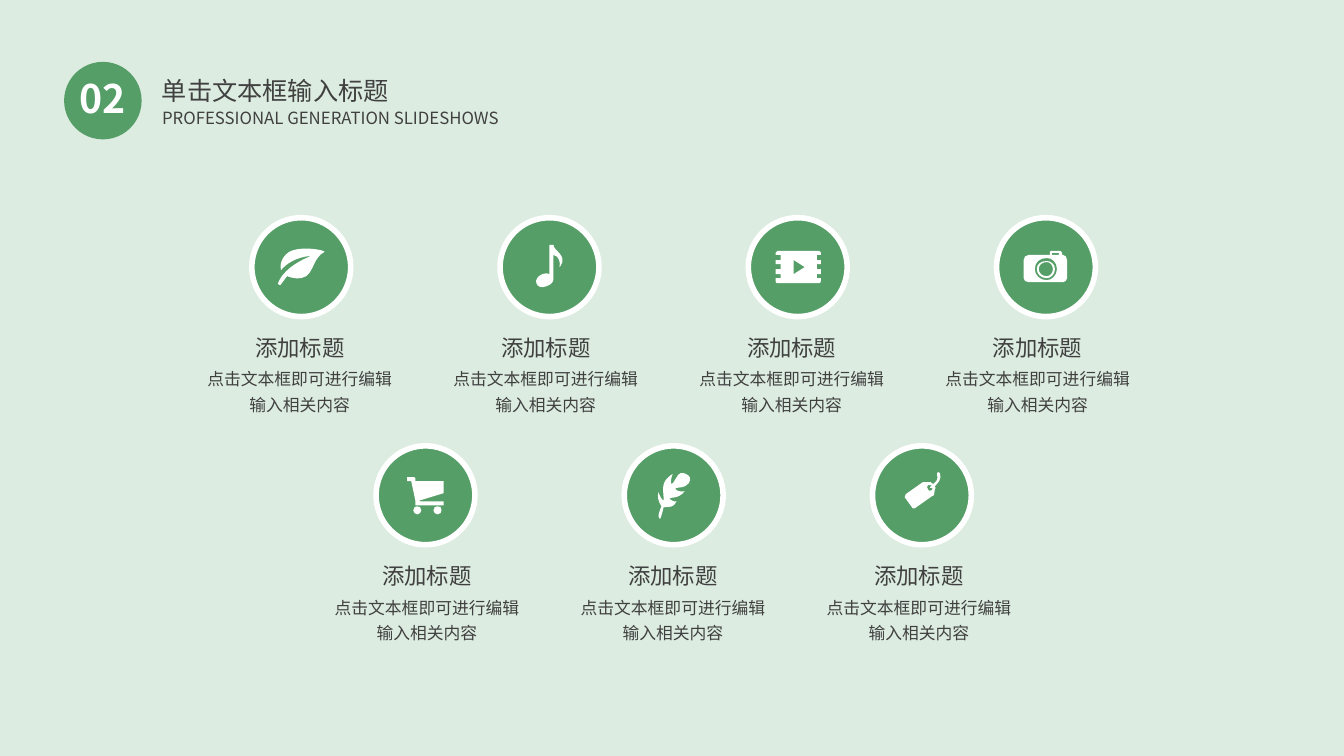
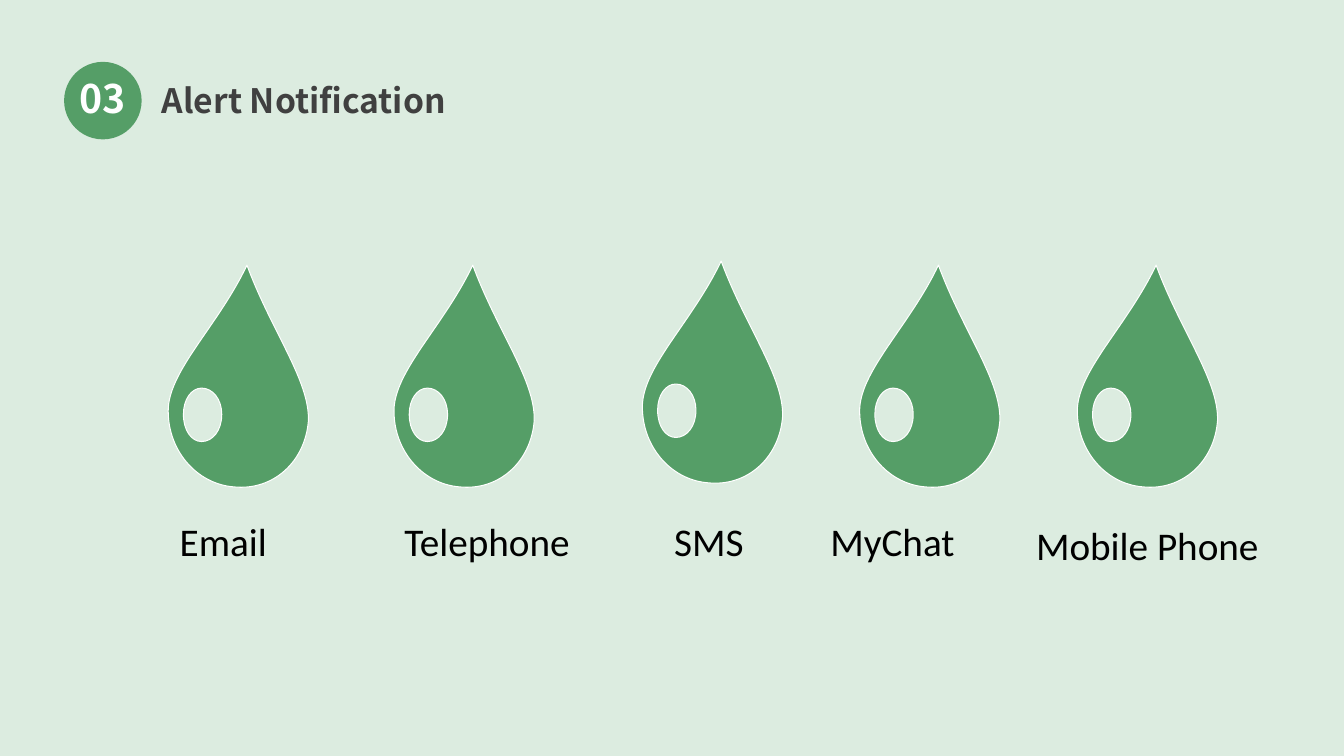
"""Build two green slides: seven captioned icons and five alert channels."""
import pptx
import pptx.dml.color
import pptx.enum.shapes
import pptx.enum.text
import pptx.oxml.ns
import pptx.util

Pt = pptx.util.Pt
qn = pptx.oxml.ns.qn
ALIGN = pptx.enum.text.PP_ALIGN

MINT, GREEN, WHITE, GREY, BLACK = "DCECE0", "559E67", "FFFFFF", "404040", "000000"
SANS, LATIN = "Noto Sans CJK SC", "Calibri"
UNIT = 0.72

LEAF = """M 37,34 C 28,40 28,49 29,52 C 41,38 59,38 59,38 C 59,38 33,47 26,65 C 25,66 29,68 29,66
C 32,62 35,58 35,58 C 40,60 48,62 54,58 C 62,52 61,40 72,34 C 75,33 50,27 37,34"""
NOTE = """M 53,27 L 49,27 49,56 C 47,55 45,55 42,56 C 37,58 35,62 36,65 C 37,69 42,70 46,68
C 50,67 53,64 53,61 L 53,37 C 59,38 60,46 59,48 C 58,49 59,49 60,48 C 67,37 53,33 53,27"""
FILM = """M 45,56 L 45,42 56,49
M 72,37 L 72,35 C 72,34 71,33 70,33 L 29,33 C 28,33 27,34 27,35 L 27,37 32,37 32,42 27,42 27,46
32,46 32,51 27,51 27,56 32,56 32,60 27,60 27,63 C 27,64 28,65 29,65 L 70,65 C 71,65 72,64 72,63
L 72,60 68,60 68,56 72,56 72,51 68,51 68,46 72,46 72,42 68,42 68,37"""
CAMERA = """M 32,37 L 53,37 53,35 C 53,34 53,33 54,33 L 63,33 C 64,33 65,34 65,35 L 65,37 66,37
C 68,37 70,39 70,42 L 70,60 C 70,62 68,64 66,64 L 32,64 C 29,64 27,62 27,60 L 27,42
C 27,39 29,37 32,37
M 55,37 L 62,37 62,35 55,35
M 50,40 C 43,40 38,44 38,51 C 38,57 43,62 50,62 C 55,62 60,57 60,51 C 60,44 55,40 50,40
M 56,51 C 56,47 53,44 50,44 C 45,44 42,47 42,51 C 42,55 45,58 50,58 C 53,58 56,55 56,51
M 50,43 C 44,43 40,46 40,51 C 40,56 44,60 50,60 C 54,60 58,56 58,51 C 58,46 54,43 50,43"""
CART = """M 44,54 L 67,47 67,35 39,35 39,32 C 39,31 38,31 38,31 L 31,31 31,35 35,35 39,54 39,59
67,59 67,55 44,55 C 42,55 42,55 44,54
M 57,64 C 57,66 59,68 61,68 C 64,68 65,66 65,64 C 65,61 64,60 61,60 C 59,60 57,61 57,64
M 37,64 C 37,66 39,68 41,68 C 43,68 45,66 45,64 C 45,61 43,60 41,60 C 39,60 37,61 37,64"""
FEATHER = """M 36,72 C 37,69 38,66 39,61 C 46,60 48,62 52,55 C 49,56 45,53 45,52
C 45,51 54,53 60,45 C 53,46 50,43 51,42 C 53,41 60,42 63,38 C 65,37 66,32 65,31
C 64,29 59,26 56,27 C 53,27 49,38 47,38 C 46,38 46,33 48,28 C 46,29 41,33 40,36
C 37,41 40,54 39,54 C 38,55 35,49 34,46 C 33,50 33,54 37,60 C 35,64 34,68 34,70
C 34,72 36,73 36,72"""
TAG = """M 59,44 C 57,45 55,45 55,43 C 54,42 54,40 55,39 C 56,39 58,39 59,39 C 58,40 58,40 58,40
C 57,40 57,41 57,41 C 57,42 58,42 58,42 C 58,42 59,42 59,42 C 59,42 59,41 60,41
C 60,42 60,43 59,44
M 67,27 C 66,26 66,26 65,26 C 65,26 64,27 64,28 C 66,33 63,36 60,38 L 59,37
C 59,36 58,36 58,36 L 52,36 C 51,36 50,36 50,36 L 33,48 C 32,49 32,50 32,51 L 40,62
C 41,63 41,63 42,62 L 59,50 C 60,50 60,49 61,49 L 62,43 C 63,42 63,41 62,41 L 62,40
C 65,37 69,33 67,27"""
DROP = """M 80,0 C 52,59 5,102 2,141 C 0,182 29,217 67,220 C 106,224 138,195 141,154
C 142,114 104,65 80,0
M 35,175 C 25,175 17,164 17,148 C 17,133 25,122 35,122 C 46,122 55,133 55,148
C 55,164 46,175 35,175"""

ICON_ROWS = [
    (179.9, 214.1, 155.5, [LEAF, NOTE, FILM, CAMERA]),
    (268.6, 305, 318.5, [CART, FEATHER, TAG]),
]
ICON_PITCH, CAPTION_PITCH, DISC = 177.3, 175.7, 70.6

CHANNELS = [
    ("Email", 118.8, 189.4, 108.7, 366.1, 101.5, ALIGN.CENTER),
    ("Telephone", 280.1, 189.4, 275.5, 366.1, 144.7, ALIGN.CENTER),
    ("SMS", 457.5, 186.5, 474.5, 366.1, 100.8, ALIGN.LEFT),
    ("MyChat", 612.7, 189.4, 586.1, 366.1, 136.8, ALIGN.LEFT),
    ("Mobile Phone", 768.2, 189.4, 733, 368.7, 195.8, ALIGN.LEFT),
]


def rgb(value):
    return pptx.dml.color.RGBColor.from_string(value)


def write(tf, text, size=12, color=GREY, font=SANS, bold=False,
          align=ALIGN.LEFT, spacing=1.0):
    tf.word_wrap = True
    tf.auto_size = pptx.enum.text.MSO_AUTO_SIZE.NONE
    tf.vertical_anchor = pptx.enum.text.MSO_ANCHOR.TOP
    p = tf.paragraphs[0]
    p.alignment, p.line_spacing = align, spacing
    r = p.add_run()
    r.text = text
    r.font.size, r.font.bold, r.font.name = Pt(size), bold, font
    r.font.color.rgb = rgb(color)
    ea = r._r.get_or_add_rPr().makeelement(qn("a:ea"), {"typeface": font})
    r._r.rPr.find(qn("a:latin")).addnext(ea)


def contours(outline):
    result, commands, command = [], [], ""
    for token in outline.split():
        if token in "MLC":
            command = token
            continue
        point = tuple(Pt(float(n) * UNIT) for n in token.split(","))
        if command == "M":
            result.append([point])
        else:
            result[-1].append(point)
            commands.append(command)
    return result, commands


def bend(sp, commands):
    lines = list(sp._element.iter(qn("a:lnTo")))
    controls = [line for line, command in zip(lines, commands) if command == "C"]
    for first, second, end in zip(controls[::3], controls[1::3], controls[2::3]):
        curve = first.makeelement(qn("a:cubicBezTo"), {})
        first.addprevious(curve)
        for line in (first, second, end):
            curve.append(line[0])
            line.getparent().remove(line)


class Deck:
    def __init__(self):
        self.prs = pptx.Presentation()
        self.prs.slide_width, self.prs.slide_height = Pt(960), Pt(540)
        fill = self.prs.slide_master.background.fill
        fill.solid()
        fill.fore_color.rgb = rgb(MINT)
        self.s = None

    def slide(self, number, title, size, bold=False):
        self.s = self.prs.slides.add_slide(self.prs.slide_layouts[5])
        self.disc(45.8, 44.2, 55.4)
        self.text(47.5, 49.7, 51.8, 41, number, size=28, color=WHITE, bold=True,
                  align=ALIGN.CENTER)
        sp = self.s.shapes.title
        sp.left, sp.top, sp.width, sp.height = Pt(108.4), Pt(39.2), Pt(334), Pt(64)
        write(sp.text_frame, title, size=size, bold=bold, spacing=1.5)

    def text(self, x, y, w, h, text, **style):
        sp = self.s.shapes.add_textbox(Pt(x), Pt(y), Pt(w), Pt(h))
        write(sp.text_frame, text, **style)

    def paint(self, sp, fill, line_width):
        sp.shadow.inherit = False
        sp.fill.solid()
        sp.fill.fore_color.rgb = rgb(fill)
        if line_width:
            sp.line.color.rgb = rgb(WHITE)
            sp.line.width = Pt(line_width)
        else:
            sp.line.fill.background()

    def disc(self, x, y, size, line_width=0):
        sp = self.s.shapes.add_shape(pptx.enum.shapes.MSO_SHAPE.OVAL,
                                     Pt(x), Pt(y), Pt(size), Pt(size))
        self.paint(sp, GREEN, line_width)

    def outline(self, x, y, outline, fill=WHITE, line_width=0):
        (first, *others), commands = contours(outline)
        builder = self.s.shapes.build_freeform(*first[0])
        builder.add_line_segments(first[1:], close=True)
        for contour in others:
            builder.move_to(*contour[0])
            builder.add_line_segments(contour[1:], close=True)
        sp = builder.convert_to_shape(Pt(x), Pt(y))
        bend(sp, commands)
        self.paint(sp, fill, line_width)

    def caption(self, center, y):
        self.text(center - 74, y + 101.1, 148, 44, "点击文本框即可进行编辑输入相关内容",
                  align=ALIGN.CENTER, spacing=1.25)
        self.text(center - 88, y + 79.7, 176, 26.6, "添加标题", size=16, align=ALIGN.CENTER)


def main():
    deck = Deck()
    deck.slide("02", "单击文本框输入标题", 18)
    deck.text(108.7, 73.4, 334, 21.8, "PROFESSIONAL GENERATION SLIDESHOWS")
    for icon_x, caption_x, y, icons in ICON_ROWS:
        for i, icon in enumerate(icons):
            x = icon_x + i * ICON_PITCH
            deck.disc(x, y, DISC, 4)
            deck.outline(x, y, icon)
            deck.caption(caption_x + i * CAPTION_PITCH, y)

    deck.slide("03", "Alert Notification", 24, bold=True)
    for name, drop_x, drop_y, x, y, w, align in CHANNELS:
        deck.outline(drop_x, drop_y, DROP, GREEN, 0.75)
        deck.text(x, y, w, 41, name, size=28, color=BLACK, font=LATIN, align=align)
    deck.prs.save("out.pptx")


if __name__ == "__main__":
    main()
